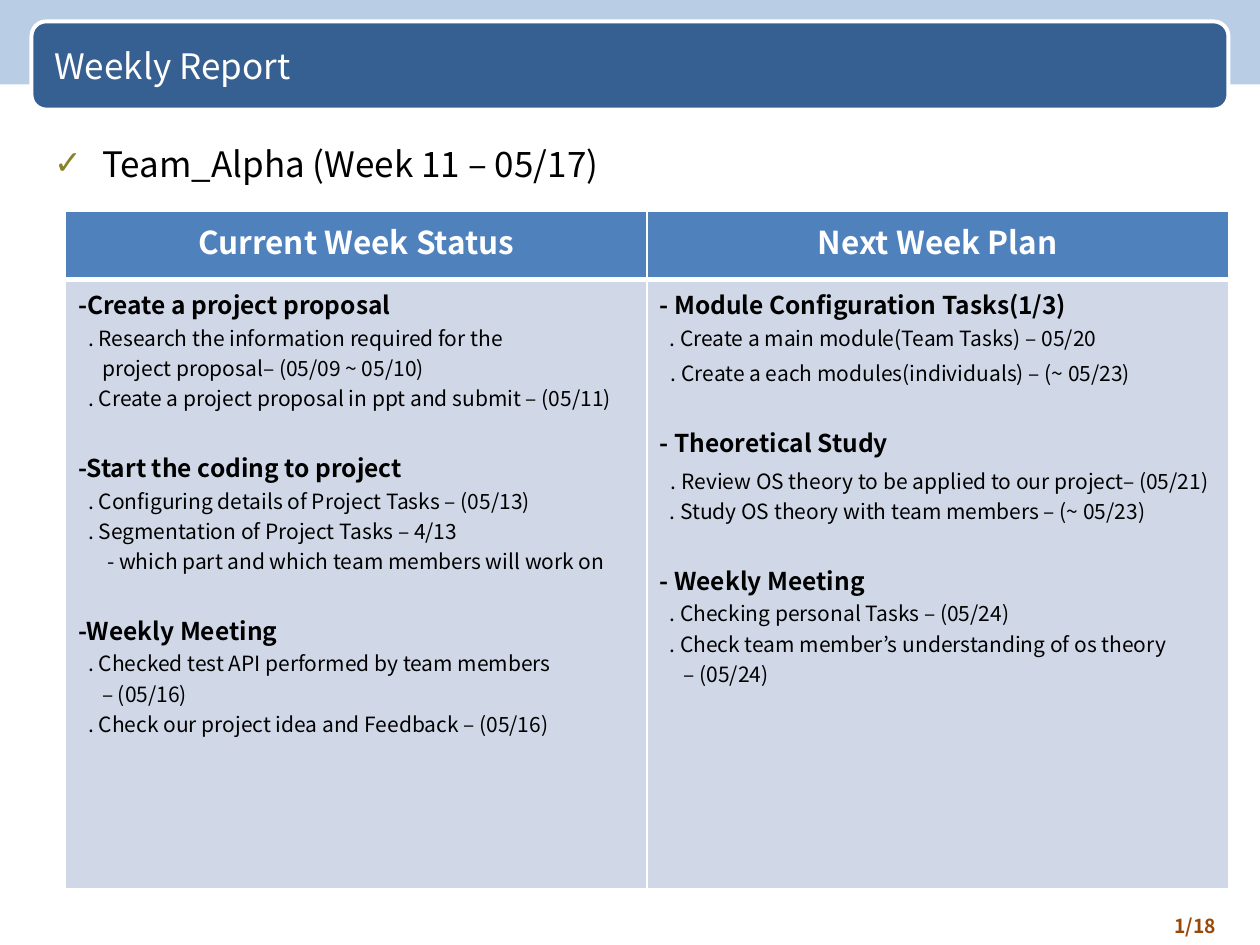
from dataclasses import dataclass

from lxml import etree
from pptx import Presentation
from pptx.dml.color import RGBColor
from pptx.enum import shapes, text
from pptx.oxml import ns
from pptx.util import Inches, Pt


@dataclass(frozen=True)
class Theme:
    font: str = "Noto Sans CJK KR"
    white: str = "FFFFFF"
    black: str = "000000"
    band: str = "B9CDE5"
    banner: str = "376092"
    header: str = "4F81BD"
    cell: str = "D0D8E8"
    check: str = "888128"
    page: str = "984807"
    title_size: int = 20
    header_size: int = 18
    topic_size: int = 14
    item_size: int = 12
    page_size: int = 11


THEME = Theme()

# Kind of line: left indent in inches, space before in points
LINE_STYLES = {
    "topic": (0, 20.5),
    "item": (0.08, 0),
    "spaced item": (0.09, 3),
    "continued": (0.19, 0),
    "detail": (0.23, 0),
}

CURRENT_WEEK = [
    ("topic", "-Create a project proposal"),
    ("item", ". Research the information required for the"),
    ("continued", "project proposal– (05/09 ~ 05/10)"),
    ("item", ". Create a project proposal in ppt and submit – (05/11)"),
    ("topic", "-Start the coding to project"),
    ("item", ". Configuring details of Project Tasks – (05/13)"),
    ("item", ". Segmentation of Project Tasks – 4/13"),
    ("detail", "- which part and which team members will work on"),
    ("topic", "-Weekly Meeting"),
    ("item", ". Checked test API performed by team members"),
    ("continued", "– (05/16)"),
    ("item", ". Check our project idea and Feedback – (05/16)"),
]
NEXT_WEEK = [
    ("topic", "- Module Configuration Tasks(1/3)"),
    ("item", ". Create a main module(Team Tasks) – 05/20"),
    ("spaced item", ". Create a each modules(individuals) – (~ 05/23)"),
    ("topic", "- Theoretical Study"),
    ("spaced item", ". Review OS theory to be applied to our project– (05/21)"),
    ("item", ". Study OS theory with team members – (~ 05/23)"),
    ("topic", "- Weekly Meeting"),
    ("item", ". Checking personal Tasks – (05/24)"),
    ("item", ". Check team member’s understanding of os theory"),
    ("continued", "– (05/24)"),
]
PLAN = [("Current Week Status", CURRENT_WEEK), ("Next Week Plan", NEXT_WEEK)]


def rgb(color):
    return RGBColor.from_string(color)


def write(paragraph, words, size, color, bold=False, align=text.PP_ALIGN.LEFT):
    paragraph.text = words
    paragraph.alignment = align
    font = paragraph.runs[0].font
    font.name, font.size, font.bold = THEME.font, Pt(size), bold
    font.color.rgb = rgb(color)


def place(shape, left, top, width, height):
    shape.left, shape.top = Inches(left), Inches(top)
    shape.width, shape.height = Inches(width), Inches(height)


def add_panel(slide, kind, box, fill, outline=None):
    panel = slide.shapes.add_shape(kind, *map(Inches, box))
    panel.shadow.inherit = False
    panel.fill.solid()
    panel.fill.fore_color.rgb = rgb(fill)
    if outline:
        panel.line.color.rgb = rgb(outline)
        panel.line.width = Pt(2.25)
    else:
        panel.line.fill.background()


def fill_placeholder(shape, box, words, color, anchor):
    place(shape, *box)
    frame = shape.text_frame
    frame.auto_size = text.MSO_AUTO_SIZE.NONE
    frame.vertical_anchor = anchor
    paragraph = frame.paragraphs[0]
    write(paragraph, words, THEME.title_size, color)
    paragraph.space_before = Pt(0)
    return paragraph


def add_check_bullet(paragraph):
    properties = paragraph._p.get_or_add_pPr()
    properties.set("marL", str(Inches(0.38)))
    properties.set("indent", str(-Inches(0.38)))
    color = etree.SubElement(properties, ns.qn("a:buClr"))
    etree.SubElement(color, ns.qn("a:srgbClr"), val=THEME.check)
    etree.SubElement(properties, ns.qn("a:buSzPct"), val="95000")
    etree.SubElement(properties, ns.qn("a:buChar"), char="✓")


def style_cell(cell, fill, top=1, bottom=1):
    """Set white borders, with top and bottom widths in points, and the fill."""
    properties = cell._tc.get_or_add_tcPr()
    for side, width in (("L", 1), ("R", 1), ("T", top), ("B", bottom)):
        line = etree.SubElement(properties, ns.qn(f"a:ln{side}"), w=str(Pt(width)))
        solid = etree.SubElement(line, ns.qn("a:solidFill"))
        etree.SubElement(solid, ns.qn("a:srgbClr"), val=THEME.white)
    cell.fill.solid()
    cell.fill.fore_color.rgb = rgb(fill)


def write_tasks(cell, tasks):
    frame = cell.text_frame
    for index, (kind, words) in enumerate(tasks):
        paragraph = frame.add_paragraph() if index else frame.paragraphs[0]
        is_topic = kind == "topic"
        size = THEME.topic_size if is_topic else THEME.item_size
        write(paragraph, words, size, THEME.black, is_topic)
        indent, gap = LINE_STYLES[kind]
        paragraph._p.get_or_add_pPr().set("marL", str(Inches(indent)))
        paragraph.space_before = Pt(gap if index else 0)


def add_plan_table(slide):
    box = map(Inches, (0.52, 1.68, 9.23, 5.37))
    table = slide.shapes.add_table(2, len(PLAN), *box).table
    for row, height in zip(table.rows, (0.54, 4.83)):
        row.height = Inches(height)
    for column, (heading, tasks) in enumerate(PLAN):
        header, body = table.cell(0, column), table.cell(1, column)
        style_cell(header, THEME.header, bottom=3)
        style_cell(body, THEME.cell, top=3)
        write(header.text_frame.paragraphs[0], heading, THEME.header_size,
              THEME.white, True, text.PP_ALIGN.CENTER)
        write_tasks(body, tasks)


def add_page_number(slide):
    box = slide.shapes.add_textbox(*map(Inches, (8.92, 7.21, 0.83, 0.29)))
    box.text_frame.word_wrap = True
    write(box.text_frame.paragraphs[0], "1/18", THEME.page_size, THEME.page,
          True, text.PP_ALIGN.RIGHT)


def main():
    deck = Presentation()
    deck.slide_width, deck.slide_height = Inches(10), Inches(7.5)
    slide = deck.slides.add_slide(deck.slide_layouts[1])
    title, body = slide.placeholders

    add_panel(slide, shapes.MSO_SHAPE.RECTANGLE, (-0.01, 0, 10.02, 0.67), THEME.band)
    add_panel(slide, shapes.MSO_SHAPE.ROUNDED_RECTANGLE, (0.25, 0.17, 9.5, 0.7),
              THEME.banner, THEME.white)
    # Bring the placeholders in front of the banner
    for placeholder in (title, body):
        slide.shapes._spTree.append(placeholder._element)

    fill_placeholder(title, (0.33, 0.21, 8.08, 0.62), "Weekly Report",
                     THEME.white, text.MSO_ANCHOR.MIDDLE)
    week = fill_placeholder(body, (0.33, 1.08, 9.42, 0.6),
                            "Team_Alpha (Week 11 – 05/17)",
                            THEME.black, text.MSO_ANCHOR.TOP)
    week.space_after = Pt(6)
    add_check_bullet(week)
    add_plan_table(slide)
    add_page_number(slide)
    deck.save("out.pptx")


if __name__ == "__main__":
    main()
